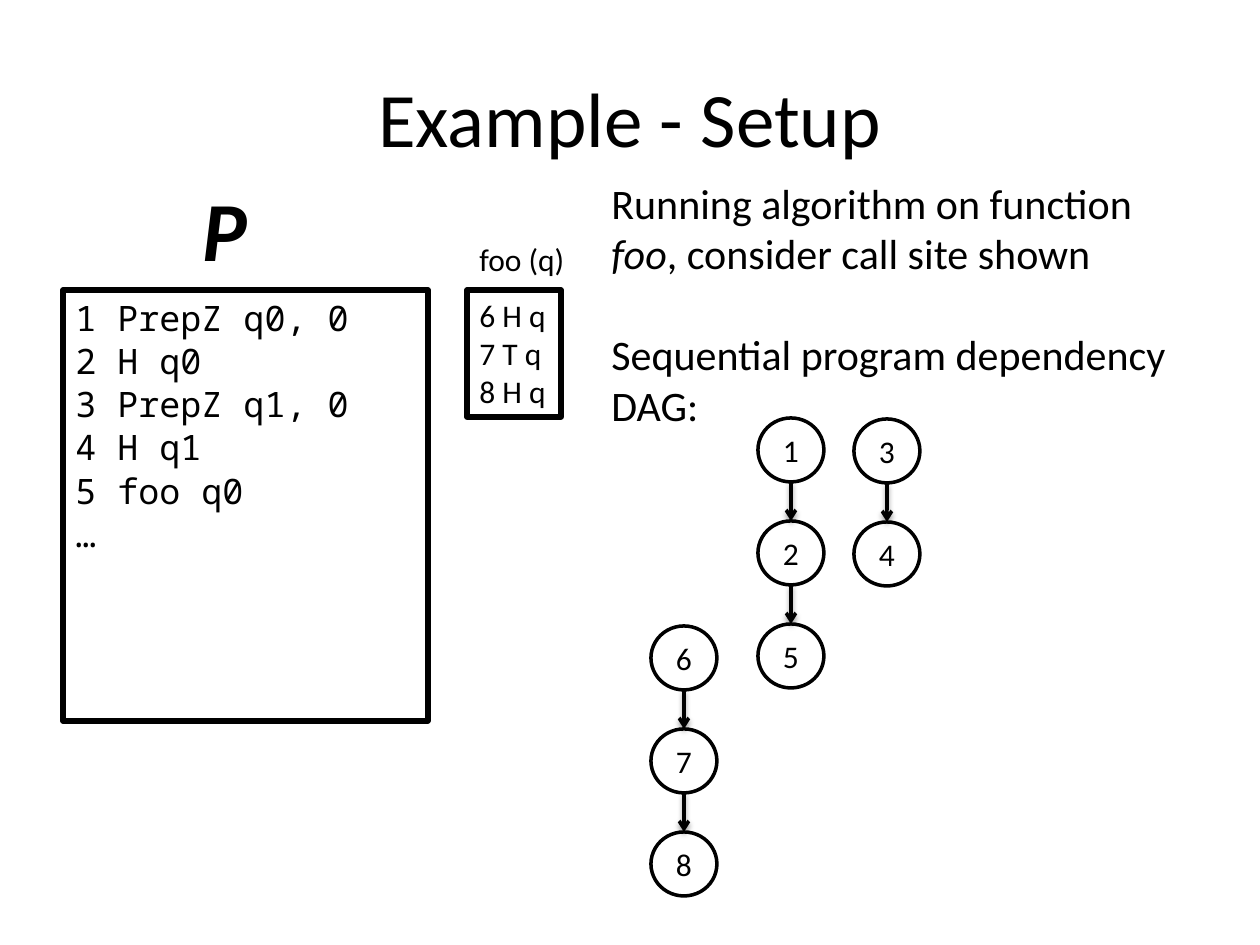
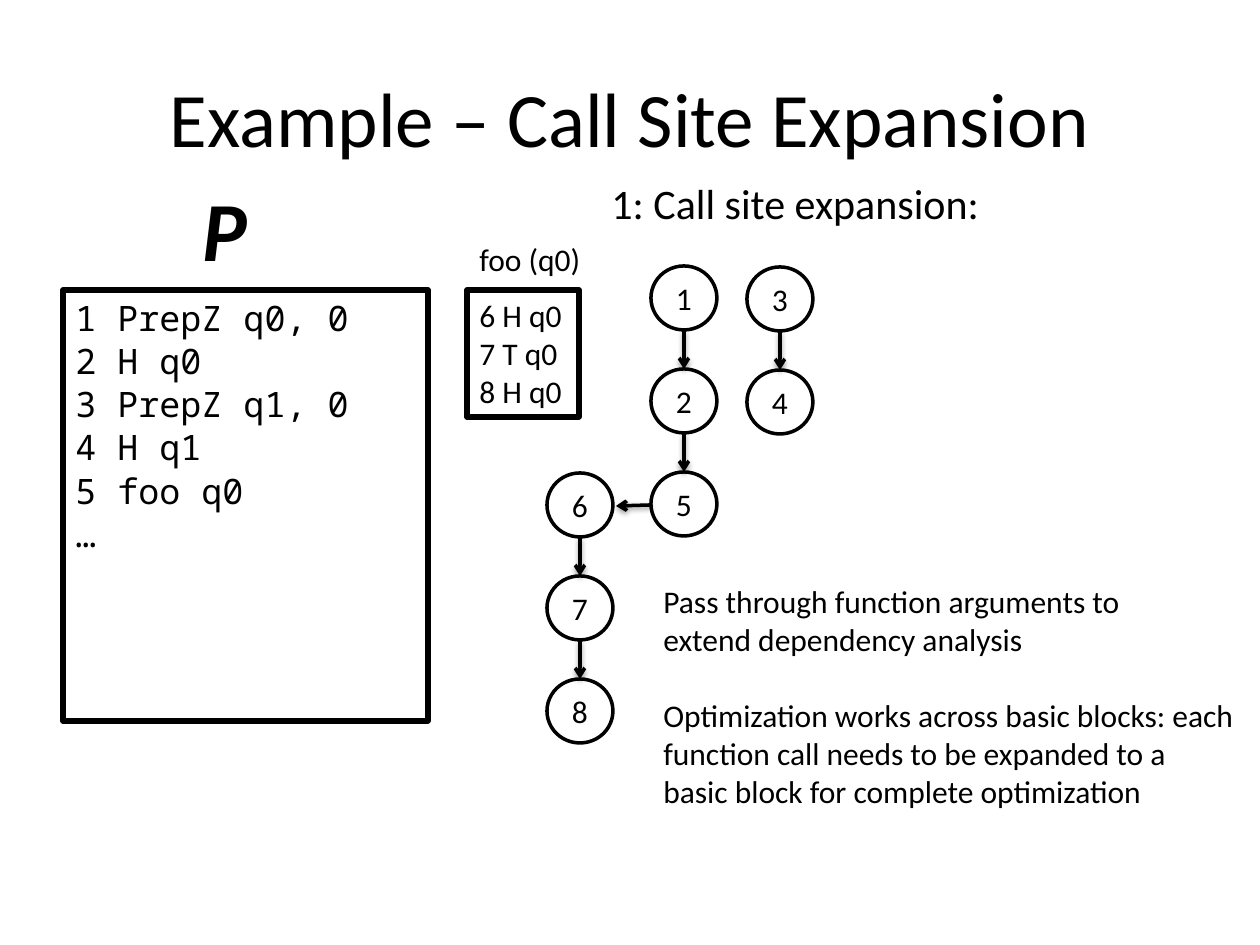
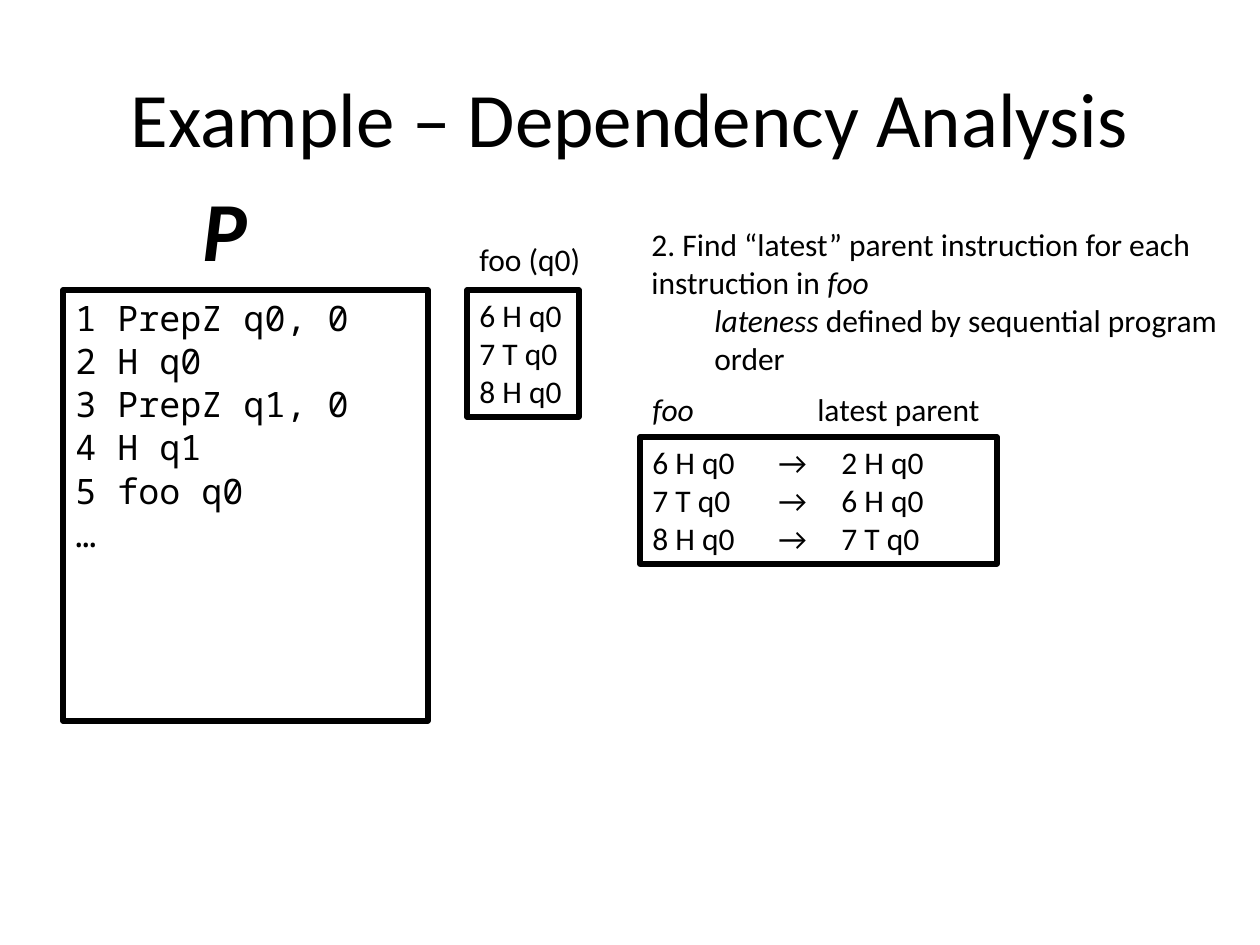
from dataclasses import dataclass

from lxml import etree
from pptx import Presentation
from pptx.dml.color import RGBColor
from pptx.enum.shapes import MSO_CONNECTOR, MSO_SHAPE
from pptx.enum.text import MSO_ANCHOR, PP_ALIGN
from pptx.oxml.ns import qn
from pptx.util import Emu, Pt

RECT, OVAL = MSO_SHAPE.RECTANGLE, MSO_SHAPE.OVAL
LINE = MSO_CONNECTOR.STRAIGHT
TOP, MIDDLE = MSO_ANCHOR.TOP, MSO_ANCHOR.MIDDLE
LEFT, CENTER = PP_ALIGN.LEFT, PP_ALIGN.CENTER

PIXEL = 914400 // 126
COLORS = {"ink": "000000", "paper": "FFFFFF"}
SANS, MONO = "Calibri", "Noto Sans Mono"
NODE_W, NODE_H, STEP = 66, 64, 103
TAB = 63
CODE = ("1 PrepZ q0, 0", "2 H q0", "3 PrepZ q1, 0", "4 H q1", "5 foo q0", "…")


@dataclass(frozen=True)
class Box:
    """Place of an element, in pixels."""
    x: int
    y: int
    w: int
    h: int


@dataclass(frozen=True)
class Style:
    """Look of a text; gaps maps a paragraph index to points before it."""
    size: int = 18
    font: str = SANS
    bold: bool = False
    align: int = LEFT
    anchor: int = TOP
    wrap: bool = False
    gaps: tuple = ()


@dataclass(frozen=True)
class Chain:
    """A column of nodes joined by arrows."""
    x: int
    y: int
    labels: str


PLAIN = Style()
HEAD = Style(size=44, align=CENTER, anchor=MIDDLE, wrap=True)
MARK = Style(size=48, bold=True)
LIST = Style(size=20, font=MONO, wrap=True,
             gaps=tuple((i, 0.7) for i in range(1, len(CODE))))
LABEL = Style(align=CENTER, anchor=MIDDLE)


def px(value: int) -> Emu:
    """Turn pixels into EMU."""
    return Emu(value * PIXEL)


def place(box: Box) -> tuple:
    """Give the four lengths of a box in EMU."""
    return px(box.x), px(box.y), px(box.w), px(box.h)


def color(name: str) -> RGBColor:
    """Look up a colour."""
    return RGBColor.from_string(COLORS[name])


def write(shape, lines: tuple, style: Style) -> None:
    """Write paragraphs; text between asterisks is italic."""
    frame = shape.text_frame
    frame.word_wrap = style.wrap
    frame.vertical_anchor = style.anchor
    frame.text = "\n".join(lines)
    gaps = dict(style.gaps)
    for index, para in enumerate(frame.paragraphs):
        para.alignment = style.align
        para.space_before = Pt(gaps.get(index, 0))
        para._p.get_or_add_pPr().set("defTabSz", str(px(TAB)))
        parts = para.text.split("*")
        para.text = parts[0]
        for part in parts[1:]:
            para.add_run().text = part
        # An empty first part leaves no run behind it.
        first = 0 if parts[0] else 1
        for order, run in enumerate(para.runs, first):
            font = run.font
            font.name, font.size = style.font, Pt(style.size)
            font.bold, font.italic = style.bold, order % 2 == 1
            font.color.rgb = color("ink")


def text(slide, box: Box, lines: tuple, style: Style = PLAIN) -> None:
    """Add a text box."""
    write(slide.shapes.add_textbox(*place(box)), lines, style)


def panel(slide, box: Box, lines: tuple, style: Style = PLAIN,
          kind: int = RECT, width: int = 3) -> None:
    """Add an outlined shape with text; ovals are filled."""
    shape = slide.shapes.add_shape(kind, *place(box))
    shape.shadow.inherit = False
    if kind == OVAL:
        shape.fill.solid()
        shape.fill.fore_color.rgb = color("paper")
    else:
        shape.fill.background()
    shape.line.color.rgb = color("ink")
    shape.line.width = Pt(width)
    write(shape, lines, style)


def arrow(slide, x1: int, y1: int, x2: int, y2: int) -> None:
    """Add an arrow with a soft shadow below it."""
    link = slide.shapes.add_connector(LINE, px(x1), px(y1), px(x2), px(y2))
    link.line.color.rgb = color("ink")
    link.line.width = Pt(2)
    etree.SubElement(link.line._get_or_add_ln(), qn("a:tailEnd"), type="arrow")
    effects = etree.SubElement(link._element.spPr, qn("a:effectLst"))
    shade = etree.SubElement(effects, qn("a:outerShdw"), blurRad=str(Pt(3.1)),
                             dist=str(Pt(1.6)), dir="5400000", rotWithShape="0")
    tint = etree.SubElement(shade, qn("a:srgbClr"), val=COLORS["ink"])
    etree.SubElement(tint, qn("a:alpha"), val="38000")


def draw(slide, chain: Chain) -> None:
    """Draw a chain of nodes from top to bottom."""
    mid = chain.x + NODE_W // 2
    for index, label in enumerate(chain.labels):
        top = chain.y + index * STEP
        panel(slide, Box(chain.x, top, NODE_W, NODE_H), (label,), LABEL, OVAL, 2)
        if index:
            arrow(slide, mid, top - STEP + NODE_H, mid, top)


def graph(slide, x: int, y: int, call: Chain) -> None:
    """Draw the main program's two chains and the called one."""
    for chain in (Chain(x, y, "125"), Chain(x + 96, y + 1, "34"), call):
        draw(slide, chain)


def start(deck, title: str, arg: str, width: int):
    """Add a slide with title, program listing and function foo."""
    slide = deck.slides.add_slide(deck.slide_layouts[6])
    text(slide, Box(63, 38, 1134, 157), (title,), HEAD)
    panel(slide, Box(63, 290, 365, 431), CODE, LIST)
    text(slide, Box(190, 171, 92, 115), ("*P",), MARK)
    body = tuple(f"{gate} {arg}" for gate in ("6 H", "7 T", "8 H"))
    panel(slide, Box(467, 290, width, 127), body)
    text(slide, Box(467, 234, width + 17, 50), (f"foo ({arg})",))
    return slide


def setup(deck) -> None:
    """Build the slide on the setup."""
    slide = start(deck, "Example - Setup", "q", 94)
    text(slide, Box(599, 171, 599, 267),
         ("Running algorithm on function *foo*, consider call site shown",
          "Sequential program dependency DAG:"),
         Style(size=24, wrap=True, gaps=((1, 29),)))
    graph(slide, 758, 418, Chain(651, 626, "678"))


def expand(deck) -> None:
    """Build the slide on call site expansion."""
    slide = start(deck, "Example – Call Site Expansion", "q0", 112)
    text(slide, Box(599, 171, 599, 63), ("1: Call site expansion:",),
         Style(size=24, wrap=True))
    graph(slide, 651, 266, Chain(547, 473, "678"))
    arrow(slide, 651, 505, 616, 506)
    text(slide, Box(651, 576, 604, 242),
         ("Pass through function arguments to",
          "extend dependency analysis",
          "Optimization works across basic blocks: each ",
          "function call needs to be expanded to a ",
          "basic block for complete optimization"),
         Style(gaps=((2, 22),)))


def analyze(deck) -> None:
    """Build the slide on dependency analysis."""
    slide = start(deck, "Example – Dependency Analysis", "q0", 112)
    text(slide, Box(639, 219, 601, 165),
         ("2. Find “latest” parent instruction for each",
          "instruction in *foo",
          "*\tlateness* defined by sequential program ",
          "\torder"))
    panel(slide, Box(640, 437, 357, 127),
          ("6 H q0\t→\t2 H q0", "7 T q0\t→\t6 H q0", "8 H q0\t→\t7 T q0"))
    text(slide, Box(640, 384, 149, 50), ("*foo",), Style(wrap=True))
    text(slide, Box(805, 384, 192, 50), ("latest parent",))


def main() -> None:
    """Build and save the deck."""
    deck = Presentation()
    deck.slide_width, deck.slide_height = px(1260), px(945)
    for build in (setup, expand, analyze):
        build(deck)
    deck.save("out.pptx")


main()
